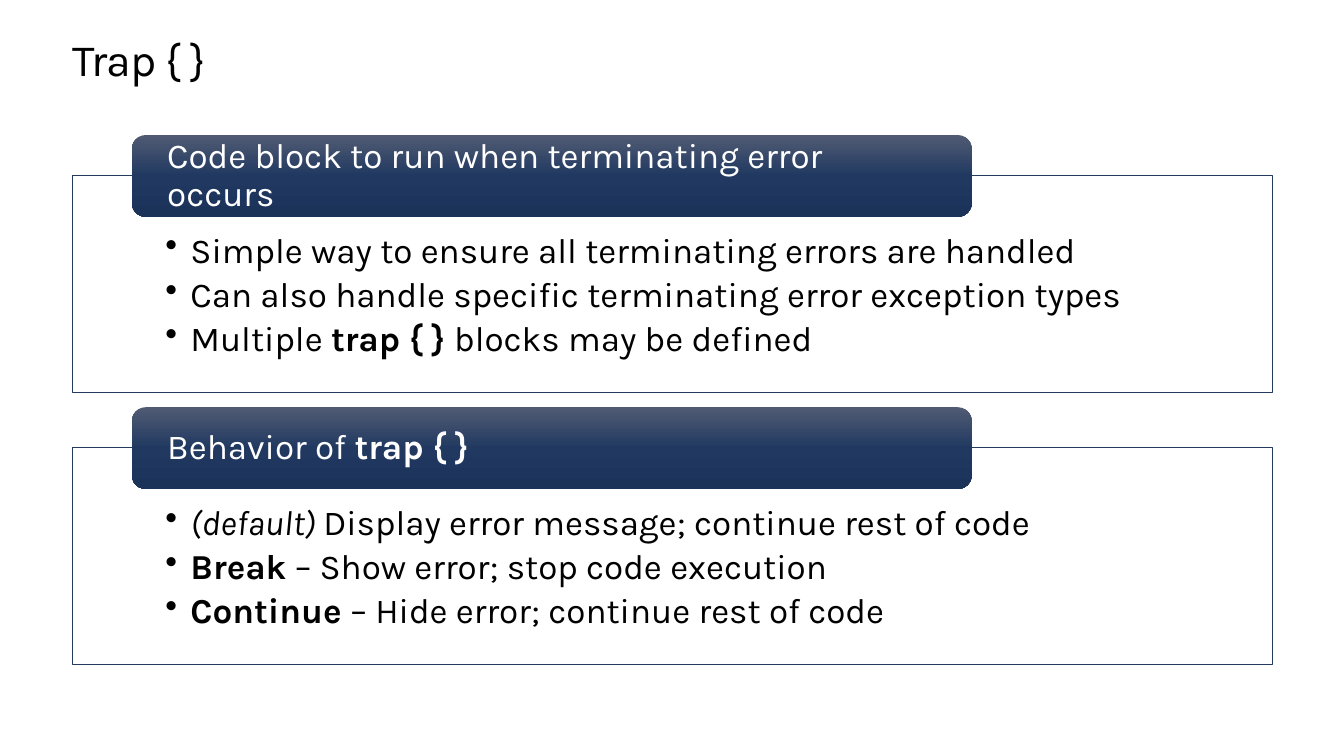
"""Build the Trap { } slide: two bulleted panels, each with a gradient heading."""
from copy import deepcopy

from lxml import etree
from pptx import Presentation
from pptx.dml.color import RGBColor
from pptx.enum import shapes, text
from pptx.oxml import ns
from pptx.util import Pt

BLACK = RGBColor(0x00, 0x00, 0x00)
WHITE = RGBColor(0xFF, 0xFF, 0xFF)
NAVY = RGBColor(0x24, 0x3A, 0x5E)
GRADIENT = [
    (0, RGBColor(0x50, 0x5B, 0x73)),
    (0.5, RGBColor(0x21, 0x39, 0x61)),
    (1, RGBColor(0x1B, 0x32, 0x59)),
]

PANEL_LEFT, PANEL_WIDTH, PANEL_HEIGHT = 51.84, 856.8, 154.8
FIRST_PANEL_TOP, PANEL_STEP = 125.28, 194.4
HEADING_LEFT, HEADING_RISE, HEADING_WIDTH, HEADING_HEIGHT = 94.32, 28.8, 599.76, 58.32

PANELS = [
    (
        [("Code block to run when terminating error occurs", {})],
        [
            [("Simple way to ensure all terminating errors are handled", {})],
            [("Can also handle specific terminating error exception types", {})],
            [("Multiple ", {}), ("trap { } ", {"bold": True}), ("blocks may be defined", {})],
        ],
    ),
    (
        [("Behavior of ", {}), ("trap { }", {"bold": True})],
        [
            [("(default) ", {"italic": True}), ("Display error message; continue rest of code", {})],
            [("Break", {"bold": True}), (" – Show error; stop code execution", {})],
            [("Continue ", {"bold": True}), ("– Hide error; continue rest of code", {})],
        ],
    ),
]


def set_frame(shape, left, top, right, bottom, anchor):
    frame = shape.text_frame
    settings = {
        "word_wrap": True,
        "margin_left": Pt(left),
        "margin_top": Pt(top),
        "margin_right": Pt(right),
        "margin_bottom": Pt(bottom),
        "vertical_anchor": anchor,
    }
    for name, value in settings.items():
        setattr(frame, name, value)
    return frame


def write_runs(paragraph, runs, size, color, line_spacing):
    paragraph.alignment = text.PP_ALIGN.LEFT
    paragraph.line_spacing = line_spacing
    for words, formats in runs:
        run = paragraph.add_run()
        run.text = words
        for name, value in {"name": "Karla", "size": Pt(size), **formats}.items():
            setattr(run.font, name, value)
        run.font.color.rgb = color


presentation = Presentation()
presentation.slide_width, presentation.slide_height = Pt(960), Pt(540)
slide = presentation.slides.add_slide(presentation.slide_layouts[6])

title = slide.shapes.add_textbox(Pt(PANEL_LEFT), Pt(25.2), Pt(PANEL_WIDTH), Pt(36))
title_paragraph = set_frame(title, 0, 0, 0, 0, text.MSO_ANCHOR.TOP).paragraphs[0]
write_runs(title_paragraph, [("Trap { }", {})], 32, BLACK, Pt(36.2))
title_paragraph.runs[0]._r.get_or_add_rPr().set("spc", "-50")

for index, (heading_runs, bullets) in enumerate(PANELS):
    top = FIRST_PANEL_TOP + index * PANEL_STEP

    panel = slide.shapes.add_shape(
        shapes.MSO_SHAPE.RECTANGLE, Pt(PANEL_LEFT), Pt(top), Pt(PANEL_WIDTH), Pt(PANEL_HEIGHT)
    )
    panel.shadow.inherit = False
    panel.fill.solid()
    panel.fill.fore_color.rgb = WHITE
    panel_color = panel._element.spPr.find(ns.qn("a:solidFill"))[0]
    etree.SubElement(panel_color, ns.qn("a:alpha")).set("val", "90000")
    panel.line.color.rgb = NAVY
    panel.line.width = Pt(0.5)

    frame = set_frame(panel, 66.24, 41.04, 66.24, 13.68, text.MSO_ANCHOR.TOP)
    for number, runs in enumerate(bullets):
        paragraph = frame.add_paragraph() if number else frame.paragraphs[0]
        properties = paragraph._p.get_or_add_pPr()
        properties.set("marL", str(Pt(18)))
        properties.set("indent", str(Pt(-18)))
        etree.SubElement(properties, ns.qn("a:buChar")).set("char", "•")
        paragraph.level = 1
        paragraph.space_after = Pt(4.5)
        write_runs(paragraph, runs, 25, BLACK, 0.9)

    heading = slide.shapes.add_shape(
        shapes.MSO_SHAPE.ROUNDED_RECTANGLE,
        Pt(HEADING_LEFT), Pt(top - HEADING_RISE), Pt(HEADING_WIDTH), Pt(HEADING_HEIGHT),
    )
    heading.shadow.inherit = False
    heading.line.fill.background()
    heading.fill.gradient()
    heading.fill.gradient_angle = 270
    stop_list = heading._element.spPr.find(ns.qn("a:gradFill")).find(ns.qn("a:gsLst"))
    stop_list.append(deepcopy(stop_list[0]))
    for stop, (position, color) in zip(heading.fill.gradient_stops, GRADIENT):
        stop.position = position
        stop.color.rgb = color
    heading_frame = set_frame(heading, 22.32, 0, 22.32, 0, text.MSO_ANCHOR.MIDDLE)
    write_runs(heading_frame.paragraphs[0], heading_runs, 25, WHITE, 0.9)

presentation.save("out.pptx")
